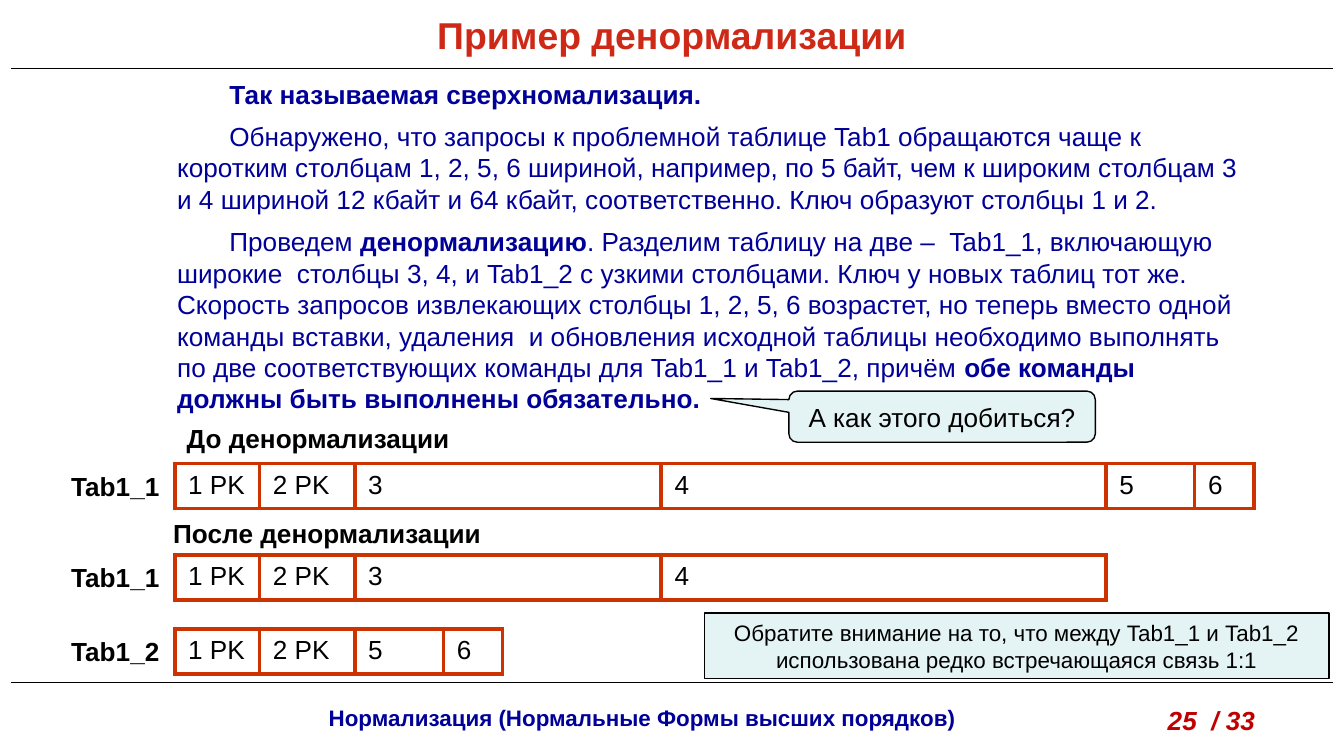
from dataclasses import dataclass

from lxml.etree import SubElement
from pptx import Presentation
from pptx.dml.color import RGBColor
from pptx.enum.shapes import MSO_CONNECTOR as Connector
from pptx.enum.shapes import MSO_SHAPE as Shape
from pptx.enum.text import MSO_ANCHOR as Anchor
from pptx.enum.text import PP_ALIGN as Align
from pptx.oxml.ns import qn
from pptx.slide import Slide
from pptx.util import Pt


def color(value):
    return RGBColor.from_string(value)


def write(frame, *paragraphs, size=14, ink="000000", bold=False, italic=False,
          align=Align.LEFT, font="Arial", indent=0, after=0, wrap=True):
    """Each paragraph is a string or a list of (text, bold) pairs."""
    frame.word_wrap = wrap
    for index, content in enumerate(paragraphs):
        paragraph = frame.paragraphs[0] if index == 0 else frame.add_paragraph()
        paragraph.alignment = align
        paragraph.space_after = Pt(after)
        if indent:
            properties = paragraph._p.get_or_add_pPr()
            properties.set("marL", str(Pt(indent)))
            properties.set("indent", str(Pt(indent)))
        runs = [(content, bold)] if isinstance(content, str) else content
        for text, strong in runs:
            run = paragraph.add_run()
            run.text = text
            run.font.name = font
            run.font.size = Pt(size)
            run.font.bold = strong
            run.font.italic = italic
            run.font.color.rgb = color(ink)


@dataclass
class Painter:
    slide: Slide
    line: str = "000000"
    navy: str = "000099"
    red: str = "CE2816"
    crimson: str = "C00000"
    border: str = "CC3300"
    paper: str = "FFFFFF"
    pale: str = "E4F3F4"

    def text(self, left, top, width, height, *paragraphs, **style):
        box = self.slide.shapes.add_textbox(Pt(left), Pt(top), Pt(width), Pt(height))
        write(box.text_frame, *paragraphs, **style)

    def rule(self, top):
        connector = self.slide.shapes.add_connector(
            Connector.STRAIGHT, Pt(6), Pt(top), Pt(714), Pt(top))
        connector.line.color.rgb = color(self.line)
        connector.line.width = Pt(0.75)
        SubElement(connector._element.spPr, qn("a:effectLst"))

    def panel(self, kind, left, top, width, height, *paragraphs,
              adjustments=(), **style):
        shape = self.slide.shapes.add_shape(
            kind, Pt(left), Pt(top), Pt(width), Pt(height))
        shape.shadow.inherit = False
        for index, value in enumerate(adjustments):
            shape.adjustments[index] = value
        shape.fill.solid()
        shape.fill.fore_color.rgb = color(self.pale)
        shape.line.color.rgb = color(self.line)
        shape.line.width = Pt(0.75)
        shape.text_frame.vertical_anchor = Anchor.MIDDLE
        write(shape.text_frame, *paragraphs, align=Align.CENTER, **style)

    def cell_border(self, cell):
        properties = cell._tc.get_or_add_tcPr()
        for side in ("lnL", "lnR", "lnT", "lnB"):
            edge = SubElement(properties, qn(f"a:{side}"), w=str(Pt(2.25)))
            fill = SubElement(edge, qn("a:solidFill"))
            SubElement(fill, qn("a:srgbClr"), val=self.border)

    def row_table(self, name, top, columns):
        """One-row table of (heading, width) columns, with its name at the left."""
        self.text(31, top, 70, 24.5, name, bold=True)
        total = sum(width for _, width in columns)
        table = self.slide.shapes.add_table(
            1, len(columns), Pt(93.6), Pt(top), Pt(total), Pt(24)).table
        table.first_row = table.horz_banding = False
        table.rows[0].height = Pt(24)
        for index, (heading, width) in enumerate(columns):
            table.columns[index].width = Pt(width)
            cell = table.cell(0, index)
            self.cell_border(cell)
            cell.fill.solid()
            cell.fill.fore_color.rgb = color(self.paper)
            write(cell.text_frame, heading)


def main():
    presentation = Presentation()
    presentation.slide_width, presentation.slide_height = Pt(720), Pt(405)
    painter = Painter(presentation.slides.add_slide(presentation.slide_layouts[6]))

    # Footer and rules
    painter.text(75.6, 373.7, 537, 21.6,
                 "Нормализация (Нормальные Формы высших порядков)",
                 size=12, ink=painter.navy, bold=True, align=Align.CENTER)
    painter.text(618.5, 373.7, 73.5, 24.5, "25  / 33",
                 ink=painter.crimson, bold=True, italic=True)
    for top in (36.7, 365.7):
        painter.rule(top)

    # Title
    painter.text(0, 2.9, 720, 35.3, "Пример денормализации",
                 size=20, ink=painter.red, bold=True, align=Align.CENTER)

    # Explanation
    painter.text(
        59.8, 38.2, 612, 189.4,
        [("Так называемая сверхномализация.", True)],
        "Обнаружено, что запросы к проблемной таблице Tab1 обращаются чаще к "
        "коротким столбцам 1, 2, 5, 6 шириной, например, по 5 байт, чем к широким "
        "столбцам 3 и 4 шириной 12 кбайт и 64 кбайт, соответственно. Ключ образуют "
        "столбцы 1 и 2.",
        [("Проведем ", False),
         ("денормализацию", True),
         (". Разделим таблицу на две –  Tab1_1, включающую широкие  столбцы 3, 4, "
          "и Tab1_2 с узкими столбцами. Ключ у новых таблиц тот же. Скорость "
          "запросов извлекающих столбцы 1, 2, 5, 6 возрастет, но теперь вместо "
          "одной команды вставки, удаления  и обновления исходной таблицы "
          "необходимо выполнять по две соответствующих команды для Tab1_1 и "
          "Tab1_2, причём ", False),
         ("обе команды должны быть выполнены обязательно.", True)],
        ink=painter.navy, indent=28, after=6)

    # Notes
    painter.panel(Shape.RECTANGLE, 377.3, 328.3, 334.8, 35.3,
                  "Обратите внимание на то, что между Tab1_1 и Tab1_2",
                  "использована редко встречающаяся связь 1:1",
                  size=12, wrap=False)
    painter.panel(Shape.ROUNDED_RECTANGULAR_CALLOUT, 422.6, 209.5, 164.2, 27.4,
                  "А как этого добиться?", adjustments=(-0.755, -0.355, 0.167))

    # Tables before and after the split
    key = [("1 PK", 45.4), ("2 PK", 51.1)]
    wide = [("3", 164.2), ("4", 238.3)]
    narrow = [("5", 47.5), ("6", 31.7)]
    painter.text(92.9, 222.5, 192, 24.5, "До денормализации", bold=True)
    painter.row_table("Tab1_1", 248.4, key + wide + narrow)
    painter.text(85.7, 273.6, 192, 24.5, "После денормализации", bold=True)
    painter.row_table("Tab1_1", 297.4, key + wide)
    painter.row_table("Tab1_2", 337, key + narrow)

    presentation.save("out.pptx")


if __name__ == "__main__":
    main()
